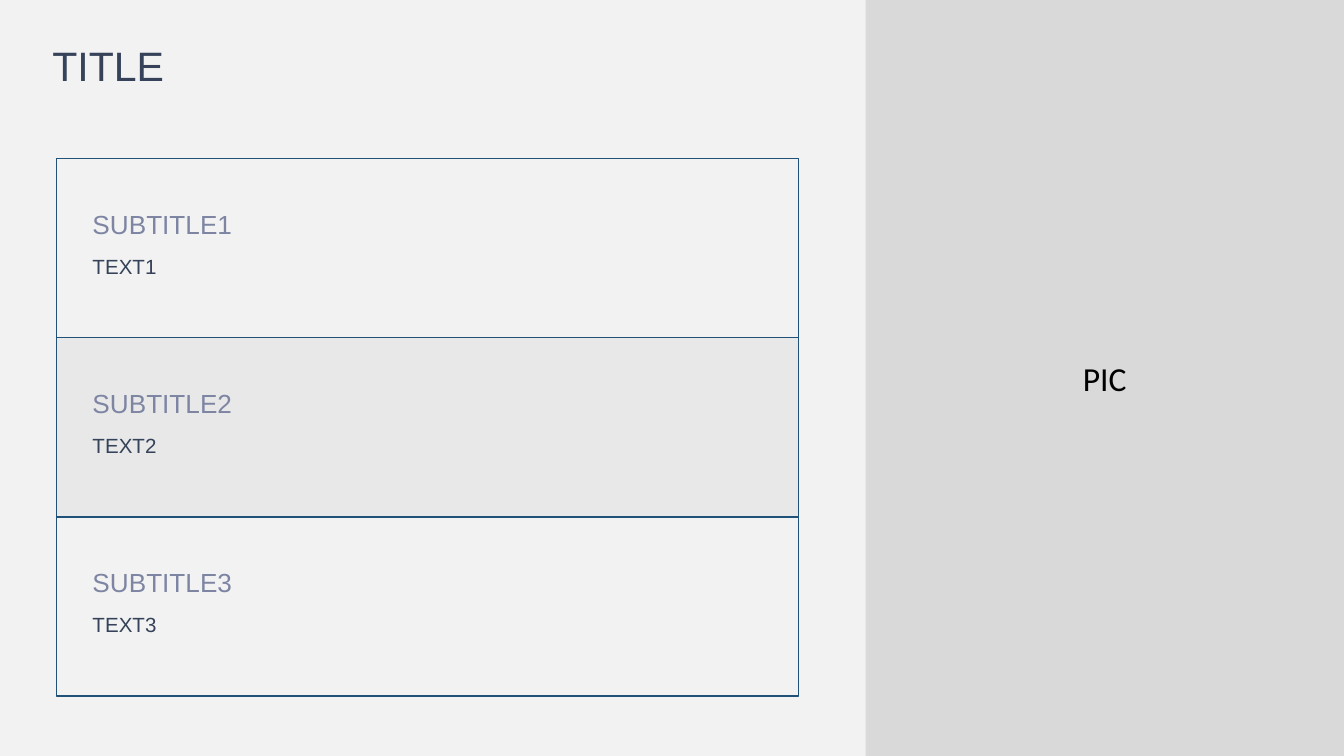
from lxml import etree
from pptx import Presentation
from pptx.dml.color import RGBColor
from pptx.enum.shapes import MSO_SHAPE as Shape
from pptx.enum.text import MSO_ANCHOR as Anchor, PP_ALIGN as Align
from pptx.oxml.ns import qn
from pptx.util import Inches, Pt

# Content
TITLE = "TITLE"
PANEL = "PIC"
ROWS = [
    ("SUBTITLE1", "TEXT1"),
    ("SUBTITLE2", "TEXT2"),
    ("SUBTITLE3", "TEXT3"),
]

# Colours
PAPER = RGBColor(0xF2, 0xF2, 0xF2)
GRAY = RGBColor(0xD9, 0xD9, 0xD9)
WHITE = RGBColor(0xFF, 0xFF, 0xFF)
BLACK = RGBColor(0, 0, 0)
BLUE = RGBColor(0x20, 0x52, 0x79)
NAVY = RGBColor(0x35, 0x42, 0x59)
MUTED = RGBColor(0x7D, 0x85, 0xA3)

# Slide and row grid, in inches
WIDE = 10
HIGH = WIDE * 9 / 16
LEFT, TOP, WIDTH, BOTTOM = 0.42, 1.18, 5.52, 5.18
PITCH = (BOTTOM - TOP) / len(ROWS)
TINT = 4  # percent opacity of the row fill


def put_text(shape, text, size, color, font="Arial", align=Align.LEFT,
             anchor=Anchor.TOP):
    frame = shape.text_frame
    frame.word_wrap = True
    frame.vertical_anchor = anchor
    frame.margin_left = frame.margin_right = Inches(0.1)
    frame.margin_top = frame.margin_bottom = Inches(0.05)
    para = frame.paragraphs[0]
    para.alignment = align
    run = para.add_run()
    run.text = text
    run.font.name = font
    run.font.size = Pt(size)
    run.font.color.rgb = color


def add_box(slide, kind, place, fill):
    box = slide.shapes.add_shape(kind, *map(Inches, place))
    box.shadow.inherit = False
    box.fill.solid()
    box.fill.fore_color.rgb = fill
    return box


def add_label(slide, place, text, **style):
    label = slide.shapes.add_textbox(*map(Inches, place))
    put_text(label, text, **style)


def fade(shape, percent):
    tone = shape.element.spPr.find(qn("a:solidFill"))[0]
    etree.SubElement(tone, qn("a:alpha"), val=str(percent * 1000))


def main():
    deck = Presentation()
    deck.slide_width, deck.slide_height = Inches(WIDE), Inches(HIGH)
    slide = deck.slides.add_slide(deck.slide_layouts[5])
    slide.background.fill.solid()
    slide.background.fill.fore_color.rgb = PAPER

    # Title
    title = slide.shapes.title
    title.left, title.top = Inches(0.29), Inches(0.25)
    title.width, title.height = Inches(5.75), Inches(0.75)
    put_text(title, TITLE, size=22, color=NAVY)

    # Side panel
    panel = add_box(slide, Shape.ROUNDED_RECTANGLE, (6.44, 0, 3.56, HIGH), GRAY)
    panel.adjustments[0] = 0
    panel.line.fill.background()
    put_text(panel, PANEL, size=18, color=BLACK, font="Calibri",
             align=Align.CENTER, anchor=Anchor.MIDDLE)

    # Row boxes, every other one darker
    tops = [TOP + i * PITCH for i in range(len(ROWS))]
    for i, top in enumerate(tops):
        row = add_box(slide, Shape.RECTANGLE, (LEFT, top, WIDTH, PITCH),
                      BLACK if i % 2 else WHITE)
        fade(row, TINT)
        row.line.color.rgb = BLUE
        row.line.width = Pt(0)

    # Row labels
    for top, (head, body) in zip(tops, ROWS):
        add_label(slide, (LEFT + 0.17, top + 0.05, 5.16, 0.6), head,
                  size=14, color=MUTED, anchor=Anchor.BOTTOM)
        add_label(slide, (LEFT + 0.17, top + 0.66, 5.16, 0.56), body,
                  size=11, color=NAVY)

    deck.save("out.pptx")


if __name__ == "__main__":
    main()
